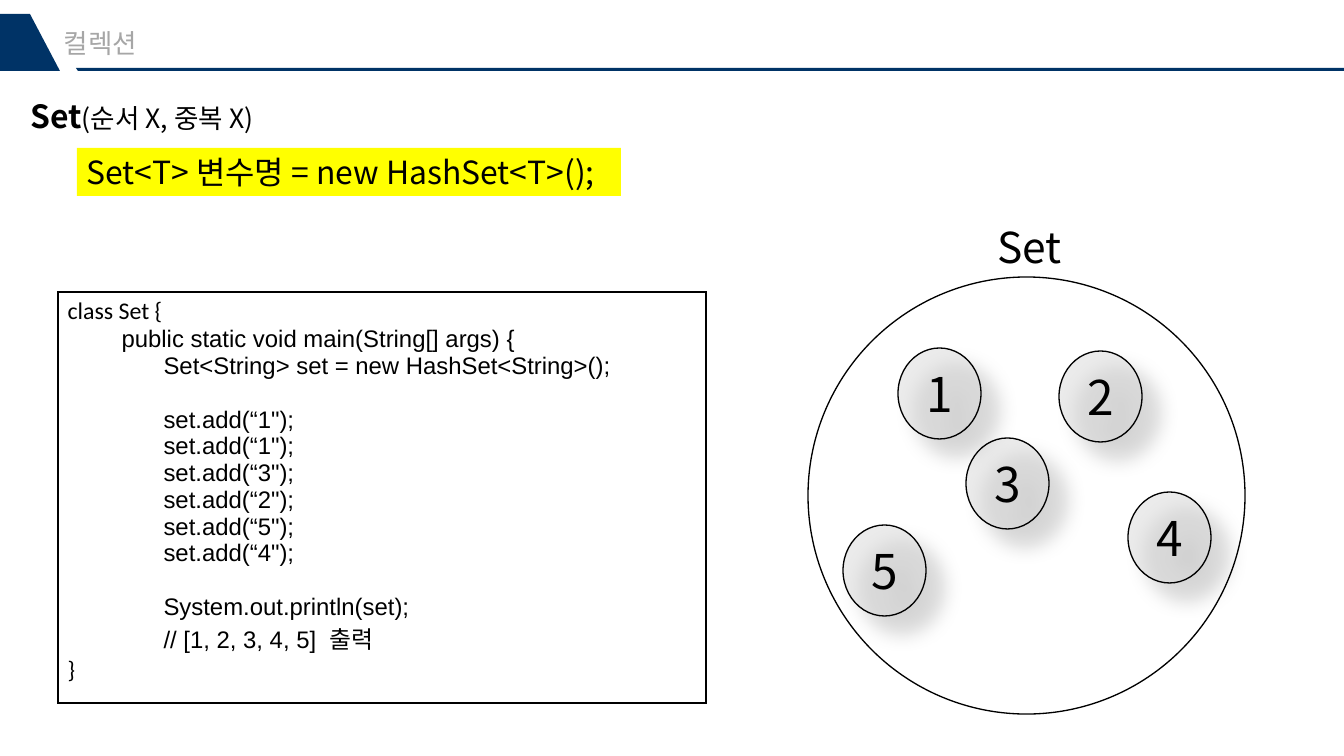
from lxml import etree
from pptx import Presentation, util as u
from pptx.dml.color import RGBColor
from pptx.enum import shapes, text
from pptx.oxml import parse_xml
from pptx.oxml.ns import qn

PX = 914400 / 95.6
NAVY, BLACK, GREY = "003366", "000000", "A6A6A6"
KOREAN = "Noto Sans CJK KR"
DRAWING = 'xmlns:a="http://schemas.openxmlformats.org/drawingml/2006/main"'
CODE = [
    ("class Set {", 0, 0, "Calibri"),
    ("public static void main(String[] args) {", 54, 0, "Arial"),
    ("Set<String> set = new HashSet<String>();", 96, 0, "Arial"),
    *[(f'set.add(“{number}");', 96, 27 * (row == 0), "Arial")
      for row, number in enumerate((1, 1, 3, 2, 5, 4))],
    ("System.out.println(set);", 96, 27, "Arial"),
    ("// [1, 2, 3, 4, 5]  출력", 96, 0, "Arial"),
    ("}", 0, 0, "Calibri"),
]
ELEMENTS = [("1", 90, 71), ("2", 251, 74), ("3", 158, 161), ("5", 35, 248), ("4", 320, 215)]


def px(length):
    return u.Emu(round(length * PX))


def place(left, top, width, height):
    return [px(length) for length in (left, top, width, height)]


def color(value):
    return RGBColor.from_string(value)


def assign(target, formats):
    for name, value in formats.items():
        setattr(target, name, value)


def add_run(paragraph, words, size, font=KOREAN, ink=BLACK, bold=False):
    run = paragraph.add_run()
    run.text = words
    assign(run.font, {"size": u.Pt(size), "name": font, "bold": bold})
    run.font.color.rgb = color(ink)
    east_asian = etree.SubElement(run.font._element, qn("a:ea"))
    east_asian.set("typeface", KOREAN)
    run.font._element.find(qn("a:latin")).addnext(east_asian)


def paint(shape, fill, line=None, alpha=None):
    shape.shadow.inherit = False
    shape.fill.solid()
    shape.fill.fore_color.rgb = color(fill)
    if alpha:
        tone = shape.fill._xPr.find(qn("a:solidFill"))[0]
        etree.SubElement(tone, qn("a:alpha")).set("val", str(alpha * 1000))
    if line:
        shape.line.color.rgb = color(line)
        shape.line.width = u.Pt(1)
    else:
        shape.line.fill.background()


def add_label(slide, box, wrap=True):
    frame = slide.shapes.add_textbox(*place(*box)).text_frame
    frame.word_wrap = wrap
    return frame


def add_outline(slide, points):
    start, *rest = [(px(x), px(y)) for x, y in points]
    builder = slide.shapes.build_freeform(*start)
    builder.add_line_segments(rest)
    paint(builder.convert_to_shape(), NAVY)


def add_header(slide, box):
    left, top, width, height = box
    right, bottom = left + width, top + height
    add_outline(slide, [(left + 76, bottom - 3), (right, bottom - 3),
                        (right, bottom), (left + 78, bottom)])
    add_outline(slide, [(left + 30, top), (left + 60, bottom),
                        (left, bottom), (left, top)])
    frame = add_label(slide, (left + 64, top + 13, 320, 33))
    assign(frame, {f"margin_{side}": 0 for side in ("left", "top", "right", "bottom")})
    chapter = frame.paragraphs[0]
    assign(chapter, {"space_before": u.Pt(5), "space_after": u.Pt(6)})
    add_run(chapter, "컬렉션", 20, ink=GREY)


def add_syntax(slide, box):
    left, top, width, height = box
    heading = add_label(slide, (left, top, 351, 48)).paragraphs[0]
    add_run(heading, "Set", 24, bold=True)
    add_run(heading, "(순서 X, 중복 X)", 20)
    declaration = slide.shapes.add_shape(
        shapes.MSO_SHAPE.RECTANGLE, *place(left + 56, top + height - 48, width - 56, 48))
    paint(declaration, "FFFF00")
    frame = declaration.text_frame
    assign(frame, {"word_wrap": False, "vertical_anchor": text.MSO_ANCHOR.TOP})
    frame.paragraphs[0].alignment = text.PP_ALIGN.LEFT
    add_run(frame.paragraphs[0], "Set<T> 변수명 = new HashSet<T>();", 24)


def add_code(slide, box):
    table = slide.shapes.add_table(1, 1, *place(*box)).table
    assign(table, {"first_row": False, "horz_banding": False})
    cell = table.cell(0, 0)
    cell.fill.background()
    for index, side in enumerate("LRTB"):
        cell._tc.tcPr.insert(index, parse_xml(
            f'<a:ln{side} {DRAWING} w="12700"><a:solidFill>'
            f'<a:srgbClr val="{BLACK}"/></a:solidFill></a:ln{side}>'))
    for row, (words, indent, gap, font) in enumerate(CODE):
        frame = cell.text_frame
        line = frame.add_paragraph() if row else frame.paragraphs[0]
        line.space_before = px(gap)
        line._p.get_or_add_pPr().set("marL", str(px(indent)))
        add_run(line, words, 18, font)


def add_circle(slide, box, fill):
    circle = slide.shapes.add_shape(shapes.MSO_SHAPE.FLOWCHART_CONNECTOR, *place(*box))
    paint(circle, fill, BLACK, 50)
    return circle


def add_set(slide, box):
    left, top, width, height = box
    add_circle(slide, box, "FFFFFF")
    for number, x, y in ELEMENTS:
        element = add_circle(slide, (left + x, top + y, 83, 91), "D9D9D9")
        element._element.spPr.find(qn("a:effectLst")).append(parse_xml(
            f'<a:outerShdw {DRAWING} blurRad="{u.Pt(15)}" dist="{u.Pt(18)}" '
            f'dir="2700000" algn="tl" rotWithShape="0"><a:srgbClr val="{BLACK}">'
            '<a:alpha val="30000"/></a:srgbClr></a:outerShdw>'))
        element.text_frame.vertical_anchor = text.MSO_ANCHOR.MIDDLE
        paragraph = element.text_frame.paragraphs[0]
        paragraph.alignment = text.PP_ALIGN.CENTER
        add_run(paragraph, number, 36)
    caption = add_label(slide, (left + (width - 84) // 2 + 4, top - 61, 84, 61), False)
    add_run(caption.paragraphs[0], "Set", 32)


def main():
    deck = Presentation()
    assign(deck, {"slide_width": px(1344), "slide_height": px(756)})
    slide = deck.slides.add_slide(deck.slide_layouts[6])
    add_header(slide, (0, 14, 1344, 57))
    add_syntax(slide, (21, 92, 600, 104))
    add_code(slide, (58, 292, 648, 411))
    add_set(slide, (808, 277, 437, 437))
    deck.save("out.pptx")


if __name__ == "__main__":
    main()
